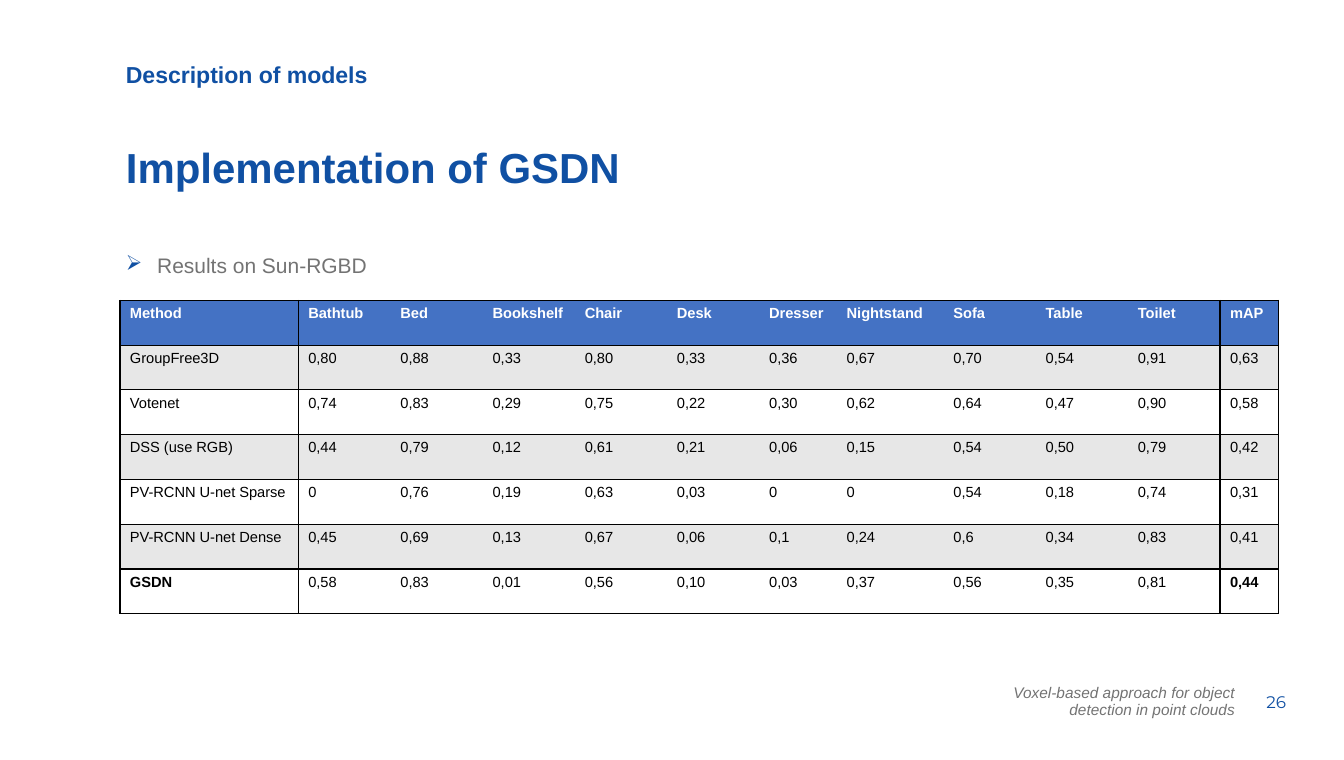
import pptx
import pptx.util
import pptx.dml.color
import pptx.enum.text
import pptx.oxml
import pptx.oxml.ns
from lxml import etree

Inches = pptx.util.Inches
Pt = pptx.util.Pt
RGBColor = pptx.dml.color.RGBColor
ALIGN = pptx.enum.text.PP_ALIGN
ANCHOR = pptx.enum.text.MSO_ANCHOR

# Content
SECTION = "Description of models"
TITLE = "Implementation of GSDN"
BULLET = "Results on Sun-RGBD"
FOOTER = "Voxel-based approach for object detection in point clouds"
PAGE_NUMBER = "26"
HEADER = ["Method", "Bathtub", "Bed", "Bookshelf", "Chair", "Desk", "Dresser",
          "Nightstand", "Sofa", "Table", "Toilet", "mAP"]
RESULTS = [
    ["GroupFree3D", "0,80", "0,88", "0,33", "0,80", "0,33", "0,36", "0,67", "0,70", "0,54", "0,91", "0,63"],
    ["Votenet", "0,74", "0,83", "0,29", "0,75", "0,22", "0,30", "0,62", "0,64", "0,47", "0,90", "0,58"],
    ["DSS (use RGB)", "0,44", "0,79", "0,12", "0,61", "0,21", "0,06", "0,15", "0,54", "0,50", "0,79", "0,42"],
    ["PV-RCNN U-net Sparse", "0", "0,76", "0,19", "0,63", "0,03", "0", "0", "0,54", "0,18", "0,74", "0,31"],
    ["PV-RCNN U-net Dense", "0,45", "0,69", "0,13", "0,67", "0,06", "0,1", "0,24", "0,6", "0,34", "0,83", "0,41"],
    ["GSDN", "0,58", "0,83", "0,01", "0,56", "0,10", "0,03", "0,37", "0,56", "0,35", "0,81", "0,44"],
]

# Colours and measures
BLUE = RGBColor(0x10, 0x50, 0xA3)
GREY = RGBColor(0x73, 0x73, 0x73)
HEADER_BLUE = RGBColor(0x44, 0x72, 0xC4)
BAND = RGBColor(0xE7, 0xE7, 0xE7)
WHITE = RGBColor(0xFF, 0xFF, 0xFF)
BLACK = RGBColor(0, 0, 0)
TABLE_AT = (1.19, 2.98, 11.48, 3.11)
COLUMN_WIDTHS = {"Method": 1.77, "Dresser": 0.77, "Nightstand": 1.06, "mAP": 0.58}
CLASS_WIDTH = 0.915
LEFT_INSET = 1.25


def write(frame, text, *, size, color, font="Arial", bold=False, italic=False,
          align=ALIGN.LEFT, spacing=None, bullet=None):
    para = frame.paragraphs[0]
    para.alignment = align
    if spacing:
        para.line_spacing = spacing
    if bullet:
        props = para._p.get_or_add_pPr()
        props.set("marL", str(Inches(0.31)))
        props.set("indent", str(-Inches(0.31)))
        tint = etree.SubElement(props, pptx.oxml.ns.qn("a:buClr"))
        etree.SubElement(tint, pptx.oxml.ns.qn("a:srgbClr"), val=str(BLUE))
        etree.SubElement(props, pptx.oxml.ns.qn("a:buChar"), char=bullet)
    span = para.add_run()
    span.text = text
    span.font.name, span.font.size = font, Pt(size)
    span.font.bold, span.font.italic = bold, italic
    span.font.color.rgb = color


def add_text(page, text, at, insets, anchor=ANCHOR.TOP, **style):
    box = page.shapes.add_textbox(*map(Inches, at))
    frame = box.text_frame
    frame.word_wrap = True
    frame.vertical_anchor = anchor
    (frame.margin_left, frame.margin_top,
     frame.margin_right, frame.margin_bottom) = map(Inches, insets)
    write(frame, text, **style)


def set_borders(cell, sides):
    """Draw black 1 pt lines on the given sides and none on the others."""
    props = cell._tc.get_or_add_tcPr()
    for side in "LRTB":
        line = etree.SubElement(props, pptx.oxml.ns.qn(f"a:ln{side}"), w=str(Pt(1)))
        if side in sides:
            fill = etree.SubElement(line, pptx.oxml.ns.qn("a:solidFill"))
            etree.SubElement(fill, pptx.oxml.ns.qn("a:srgbClr"), val=str(BLACK))
        else:
            etree.SubElement(line, pptx.oxml.ns.qn("a:noFill"))


def add_results(page):
    rows = [HEADER] + RESULTS
    last_row, last_column = len(rows) - 1, len(HEADER) - 1
    table = page.shapes.add_table(len(rows), len(HEADER), *map(Inches, TABLE_AT)).table
    table.first_row = table.horz_banding = False
    for column, name in zip(table.columns, HEADER):
        column.width = Inches(COLUMN_WIDTHS.get(name, CLASS_WIDTH))
    for r, values in enumerate(rows):
        table.rows[r].height = Inches(TABLE_AT[3] / len(rows))
        for c, value in enumerate(values):
            cell = table.cell(r, c)
            sides = "TB"
            if c in (0, 1, last_column):
                sides += "L"
            if c in (0, last_column - 1, last_column):
                sides += "R"
            set_borders(cell, sides)
            cell.fill.solid()
            cell.fill.fore_color.rgb = HEADER_BLUE if r == 0 else BAND if r % 2 else WHITE
            write(cell.text_frame, value, size=10.5,
                  color=WHITE if r == 0 else BLACK,
                  bold=r == 0 or (r == last_row and c in (0, last_column)))


def main():
    deck = pptx.Presentation()
    deck.slide_width, deck.slide_height = Inches(13.34), Inches(7.54)
    page = deck.slides.add_slide(deck.slide_layouts[6])

    # Headings
    add_text(page, SECTION, (0, 0, 13.34, 1.11), (LEFT_INSET, 0.63, 0.1, 0.05),
             size=16.5, color=BLUE, bold=True, spacing=0.9)
    add_text(page, TITLE, (0, 1.46, 12.18, 0.89), (LEFT_INSET, 0, 0, 0),
             size=30, color=BLUE, bold=True, spacing=0.9)

    # Results
    add_text(page, BULLET, (0, 2.33, 12.67, 3.18), (LEFT_INSET, 0.05, 0.1, 0.05),
             size=15, color=GREY, spacing=1.5, bullet="➢")
    add_results(page)

    # Footer
    add_text(page, FOOTER, (9.75, 6.81, 2.66, 0.31), (0, 0, 0.15, 0), ANCHOR.MIDDLE,
             size=11, color=GREY, italic=True, align=ALIGN.RIGHT, spacing=0.9)
    add_text(page, PAGE_NUMBER, (12.45, 6.81, 0.56, 0.31), (0.12, 0, 0, 0), ANCHOR.MIDDLE,
             size=12, color=BLUE, font="Montserrat")

    deck.save("out.pptx")


if __name__ == "__main__":
    main()
